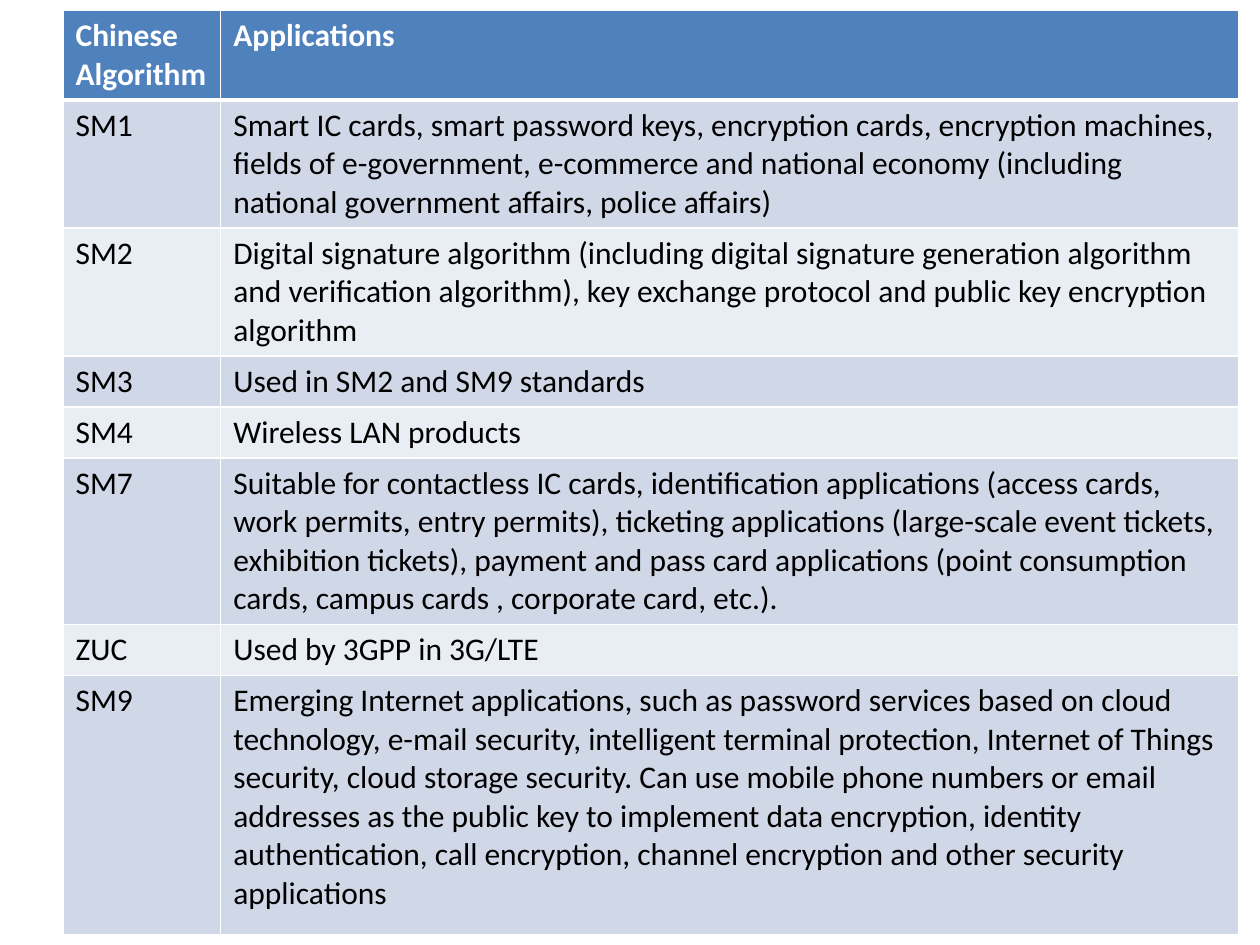
from lxml import etree
from pptx import Presentation
from pptx.dml.color import RGBColor
from pptx.oxml.ns import qn
from pptx.util import Cm, Pt

# Content: algorithm, applications, row height in cm
ROWS = [
    ("Chinese Algorithm", "Applications", 1.73),
    ("SM1", "Smart IC cards, smart password keys, encryption cards, encryption machines, "
     "fields of e-government, e-commerce and national economy (including national "
     "government affairs, police affairs)", 2.46),
    ("SM2", "Digital signature algorithm (including digital signature generation algorithm "
     "and verification algorithm), key exchange protocol and public key encryption "
     "algorithm", 2.46),
    ("SM3", "Used in SM2 and SM9 standards", 0.99),
    ("SM4", "Wireless LAN products", 0.99),
    ("SM7", "Suitable for contactless IC cards, identification applications (access cards, "
     "work permits, entry permits), ticketing applications (large-scale event tickets, "
     "exhibition tickets), payment and pass card applications (point consumption cards, "
     "campus cards , corporate card, etc.).", 3.2),
    ("ZUC", "Used by 3GPP in 3G/LTE", 0.99),
    ("SM9", "Emerging Internet applications, such as password services based on cloud "
     "technology, e-mail security, intelligent terminal protection, Internet of Things "
     "security, cloud storage security.\u00a0Can use mobile phone numbers or email addresses "
     "as the public key to implement data encryption, identity authentication, call "
     "encryption, channel encryption and other security applications", 5.23),
]
COLUMN_WIDTHS = (3.18, 20.52)
LEFT, TOP = 1.27, 0.21
HEADER_FILL = "4F81BD"
BAND_FILLS = ("D0D8E8", "E9EDF4")
WHITE, BLACK = "FFFFFF", "000000"
BLANK_LAYOUT = 6


def color(value):
    return RGBColor.from_string(value)


def add_border(cell, side, points):
    """Add one white cell border; call before the fill is set."""
    properties = cell._tc.get_or_add_tcPr()
    line = etree.SubElement(properties, qn(f"a:ln{side}"), w=str(Pt(points)))
    fill = etree.SubElement(line, qn("a:solidFill"))
    etree.SubElement(fill, qn("a:srgbClr"), val=WHITE)


def format_cell(cell, text, fill, font_format, bottom_width):
    for side, width in zip("LRTB", (1, 1, 1, bottom_width)):
        add_border(cell, side, width)
    cell.fill.solid()
    cell.fill.fore_color.rgb = color(fill)
    run = cell.text_frame.paragraphs[0].add_run()
    run.text = text
    for name, value in font_format.items():
        setattr(run.font, name, value)


presentation = Presentation()
presentation.slide_width, presentation.slide_height = Cm(25.4), Cm(19.05)
slide = presentation.slides.add_slide(presentation.slide_layouts[BLANK_LAYOUT])

# Table grid
table_height = sum(height for *_, height in ROWS)
table = slide.shapes.add_table(
    len(ROWS), len(COLUMN_WIDTHS), Cm(LEFT), Cm(TOP),
    Cm(sum(COLUMN_WIDTHS)), Cm(table_height)).table
for column, width in zip(table.columns, COLUMN_WIDTHS):
    column.width = Cm(width)

# Header and banded rows
for index, (*texts, height) in enumerate(ROWS):
    table.rows[index].height = Cm(height)
    is_header = index == 0
    fill = HEADER_FILL if is_header else BAND_FILLS[(index - 1) % 2]
    font_format = {"name": "Calibri", "size": Pt(18), "bold": is_header}
    for column_index, text in enumerate(texts):
        cell = table.cell(index, column_index)
        format_cell(cell, text, fill, font_format, 3 if is_header else 1)
        font = cell.text_frame.paragraphs[0].runs[0].font
        font.color.rgb = color(WHITE if is_header else BLACK)

presentation.save("out.pptx")
